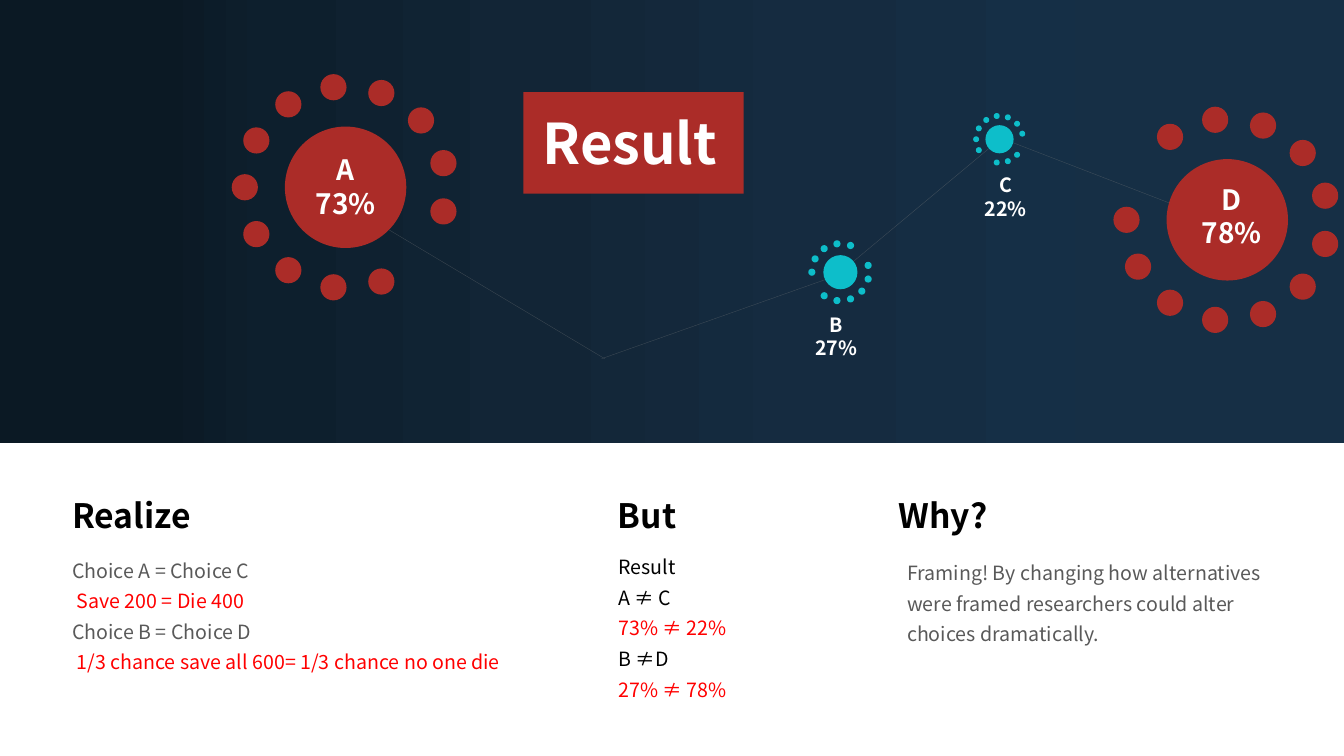
from dataclasses import dataclass
from math import cos, pi, sin

from lxml import etree
from pptx import Presentation
from pptx.dml.color import RGBColor
from pptx.enum import shapes, text
from pptx.oxml import ns
from pptx.util import Cm, Pt


@dataclass(frozen=True)
class Theme:
    font: str = "Noto Sans CJK SC"
    red: str = "AB2C28"
    teal: str = "0DBECA"
    white: str = "FFFFFF"
    black: str = "000000"
    grey: str = "595959"
    alert: str = "FF0000"
    thread: str = "808080"
    night: tuple = ((0, "162F45"), (20, "152F46"), (40, "152B40"),
                    (60, "122536"), (80, "0D1F2D"), (88, "0B1924"))
    title: int = 40
    heading: int = 24
    share: int = 20
    body: int = 14


class ResultSlide:
    ring_slots = 13

    def __init__(self, slide, theme):
        self.slide = slide
        self.theme = theme

    def shape(self, kind, left, top, width, height, color=None):
        shape = self.slide.shapes.add_shape(kind, Cm(left), Cm(top), Cm(width), Cm(height))
        shape.shadow.inherit = False
        shape.line.fill.background()
        if color:
            shape.fill.solid()
            shape.fill.fore_color.rgb = RGBColor.from_string(color)
        return shape

    def rectangle(self, left, top, width, height, color=None):
        return self.shape(shapes.MSO_SHAPE.RECTANGLE, left, top, width, height, color)

    def night_band(self, width, height):
        band = self.rectangle(0, 0, width, height)
        band.fill.gradient()
        band.fill.gradient_angle = 180
        stops = band._element.spPr.find(".//" + ns.qn("a:gsLst"))
        for stop in list(stops):
            stops.remove(stop)
        for percent, color in self.theme.night:
            stop = etree.SubElement(stops, ns.qn("a:gs"), pos=str(percent * 1000))
            etree.SubElement(stop, ns.qn("a:srgbClr"), val=color)

    def thread(self, start, end):
        thread = self.slide.shapes.add_connector(
            shapes.MSO_CONNECTOR.STRAIGHT, *map(Cm, start + end))
        thread.line.width = Pt(0.25)
        thread.line.color.rgb = RGBColor.from_string(self.theme.thread)
        properties = thread._element.spPr
        color = properties.find(".//" + ns.qn("a:srgbClr"))
        etree.SubElement(color, ns.qn("a:alpha"), val="40000")
        etree.SubElement(properties, ns.qn("a:effectLst"))

    def disc(self, x, y, size, color):
        self.shape(shapes.MSO_SHAPE.OVAL, x - size / 2, y - size / 2, size, size, color)

    def burst(self, center, core, dot, radius, gaps, color):
        x, y = center
        self.disc(x, y, core, color)
        for slot in range(self.ring_slots):
            if slot not in gaps:
                angle = pi + slot * 2 * pi / self.ring_slots
                self.disc(x + radius * cos(angle), y + radius * sin(angle), dot, color)

    def text(self, left, top, width, height, lines, size, bold=False,
             centered=False, spacing=None):
        frame = self.slide.shapes.add_textbox(
            Cm(left), Cm(top), Cm(width), Cm(height)).text_frame
        frame.word_wrap = True
        frame.auto_size = text.MSO_AUTO_SIZE.SHAPE_TO_FIT_TEXT
        frame.text = "\n".join(words for words, _ in lines)
        for paragraph, (_, color) in zip(frame.paragraphs, lines):
            if centered:
                paragraph.alignment = text.PP_ALIGN.CENTER
            if spacing:
                paragraph.line_spacing = spacing
            for run in paragraph.runs:
                run.font.name = self.theme.font
                run.font.size = Pt(size)
                run.font.bold = bold
                run.font.color.rgb = RGBColor.from_string(color)

    def share(self, left, top, height, choice, percent, size):
        lines = [(words, self.theme.white) for words in (choice, percent)]
        self.text(left, top, 2.54, height, lines, size, bold=True, centered=True)

    def heading(self, left, words):
        self.text(left, 12.34, 6.15, 1.27, [(words, self.theme.black)],
                  self.theme.heading, bold=True)

    def body(self, left, top, width, height, lines):
        self.text(left, top, width, height, lines, self.theme.body, spacing=1.3)


def main():
    deck = Presentation()
    deck.slide_width, deck.slide_height = Cm(33.87), Cm(19.05)
    theme = Theme()
    result = ResultSlide(deck.slides.add_slide(deck.slide_layouts[6]), theme)

    result.night_band(33.87, 11.17)
    for start, end in (((9.8, 5.79), (15.24, 9.04)),
                       ((15.16, 9.04), (21.18, 6.91)),
                       ((21.18, 6.86), (25.2, 3.51)),
                       ((25.1, 3.43), (31.22, 5.79))):
        result.thread(start, end)

    for center, core, dot, radius, gaps, color in (
            ((8.71, 4.72), 3.06, 0.66, 2.54, {8}, theme.red),
            ((21.18, 6.86), 0.86, 0.18, 0.72, {5, 12}, theme.teal),
            ((25.19, 3.51), 0.71, 0.15, 0.59, {7, 11}, theme.teal),
            ((30.93, 5.54), 3.06, 0.66, 2.54, {1}, theme.red)):
        result.burst(center, core, dot, radius, gaps, color)

    result.rectangle(13.19, 2.32, 5.55, 2.56, theme.red)
    result.text(13.36, 2.62, 5.03, 1.96, [("Result", theme.white)],
                theme.title, bold=True, centered=True)

    result.share(7.44, 3.73, 1.96, "A", "73%", theme.share)
    result.share(19.81, 7.75, 1.45, "B", "27%", theme.body)
    result.share(24.08, 4.24, 1.45, "C", "22%", theme.body)
    result.share(29.77, 4.47, 1.96, "D", "78%", theme.share)

    result.heading(1.57, "Realize")
    result.body(1.57, 13.77, 12.09, 3.38, [
        ("Choice A = Choice C", theme.grey),
        (" Save 200 = Die 400", theme.alert),
        ("Choice B = Choice D", theme.grey),
        (" 1/3 chance save all 600= 1/3 chance no one die", theme.alert)])

    result.heading(15.32, "But")
    result.body(15.34, 13.69, 3.4, 4.93, [
        ("Result", theme.black),
        ("A ≠ C", theme.black),
        ("73% ≠ 22%", theme.alert),
        ("B ≠D", theme.black),
        ("27% ≠ 78%", theme.alert)])

    result.heading(22.4, "Why?")
    result.body(22.61, 13.84, 10.44, 2.59, [
        ("Framing! By changing how alternatives were framed "
         "researchers could alter choices dramatically.", theme.grey)])

    deck.save("out.pptx")


if __name__ == "__main__":
    main()
